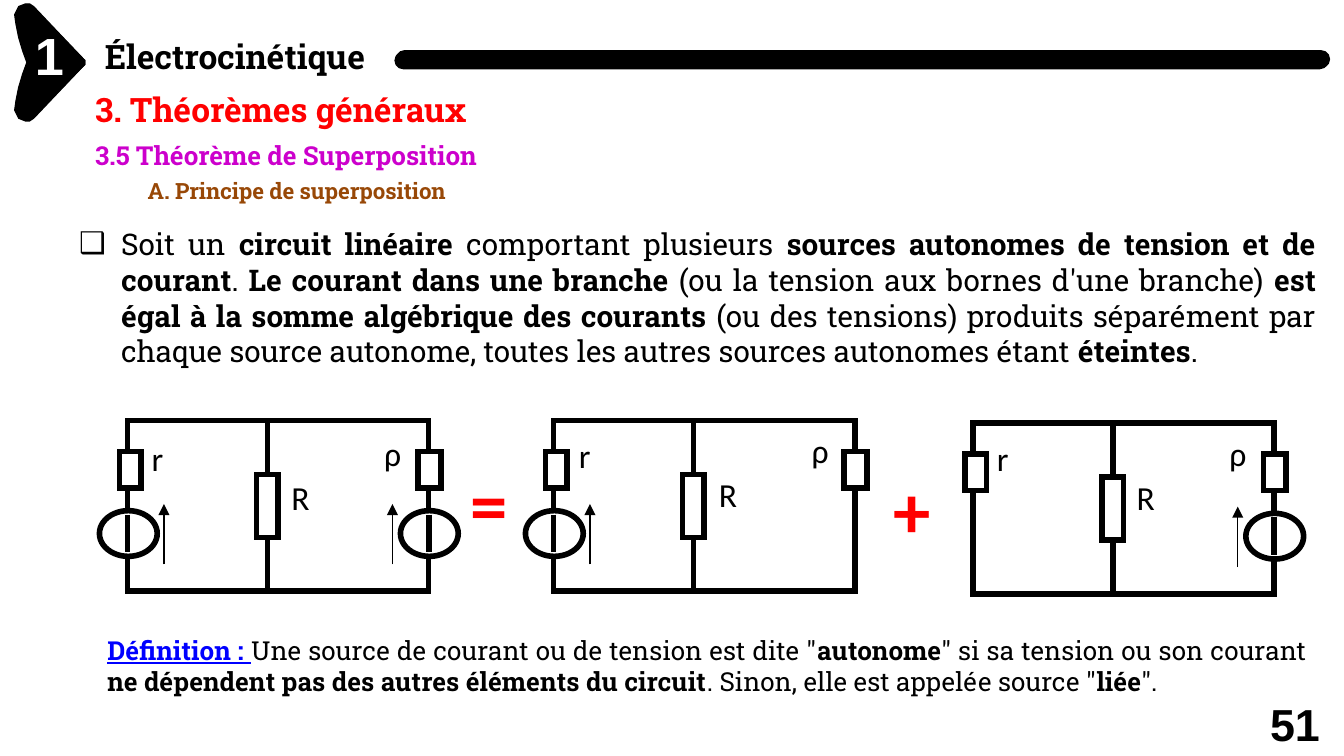
from lxml import etree
from pptx import Presentation
from pptx import util as u
from pptx.dml.color import RGBColor
from pptx.enum import shapes, text
from pptx.oxml.ns import qn

COLORS = {"ink": "000000", "paper": "FFFFFF", "red": "FF0000",
          "violet": "CC00CC", "brown": "984807", "blue": "0000FF"}
RGB = {name: RGBColor.from_string(value) for name, value in COLORS.items()}
SLAB = "Roboto Slab"

deck = Presentation()
deck.slide_width = u.Inches(10)
deck.slide_height = deck.slide_width * 9 // 16
page = deck.slides.add_slide(deck.slide_layouts[6])

# The page is a grid of 100 columns and 56.25 rows.
COLUMN = deck.slide_width / 100
ROW = deck.slide_height / 56.25


def paint(shape, fill, width):
    """Give a shape a flat fill (or none) and a black outline with sharp corners."""
    shape.shadow.inherit = False
    if fill:
        shape.fill.solid()
        shape.fill.fore_color.rgb = RGB[fill]
    else:
        shape.fill.background()
    shape.line.color.rgb = RGB["ink"]
    shape.line.width = u.Pt(width)
    corner = etree.SubElement(shape._element.spPr.find(qn("a:ln")), qn("a:miter"))
    corner.set("lim", "800000")


def write(parent, at, spans, font, size, color="ink", spacing=0, margins=(1, 0.5)):
    """Add a text box; spans are (text, font values) pairs. Return its paragraph."""
    left, top, width, height = at
    box = parent.add_textbox(int(left * COLUMN), int(top * ROW),
                             int(width * COLUMN), int(height * ROW))
    frame = box.text_frame
    frame.word_wrap = True
    frame.margin_left = frame.margin_right = int(margins[0] * COLUMN)
    frame.margin_top = frame.margin_bottom = int(margins[1] * ROW)
    para = frame.paragraphs[0]
    for words, values in spans:
        span = para.add_run()
        span.text = words
        look = {"name": font, "size": u.Pt(size), **values}
        tint = look.pop("color", color)
        for key, value in look.items():
            setattr(span.font, key, value)
        span.font.color.rgb = RGB[tint]
        if spacing:
            span._r.get_or_add_rPr().set("spc", str(spacing))
    return para


BOLD, PLAIN = {"bold": True}, {"bold": False}

# Chapter marker, in tenths of a cell: an arrowhead over its vertical mirror image
arrowhead = [(19, 3), (14, 5), (11, 11), (12, 18), (14, 28), (17, 38), (21, 49),
             (25, 60), (27, 70), (28, 79), (28, 83), (26, 86), (62, 49), (63, 48),
             (63, 45), (62, 44), (25, 5), (22, 3)]
mirrored = [(x, 93 - y) for x, y in arrowhead]
for outline in (mirrored, arrowhead):
    builder = page.shapes.build_freeform(*outline[0], scale=(COLUMN / 10, ROW / 10))
    builder.add_line_segments(outline[1:], close=True)
    paint(builder.convert_to_shape(), "ink", 0.75)

# Rounded rule beside the chapter name, doubled with a slight offset
for left, top, width in ((29.4, 3.9, 0.75), (29.5, 3.8, 1)):
    rule = page.shapes.add_shape(shapes.MSO_SHAPE.ROUNDED_RECTANGLE, int(left * COLUMN),
                                 int(top * ROW), int(69.4 * COLUMN), int(1.2 * ROW))
    rule.adjustments[0] = 0.5
    paint(rule, "ink", width)

# Headings
write(page.shapes, (2.5, 1.6, 2.4, 4.9), [("1", BOLD)], "Arial", 28, "paper",
      margins=(0.1, 0.1))
for words, at, size, color, margins in (
        ("Électrocinétique", (7.7, 2.6, 58.3, 3.3), 18, "ink", (0.1, 0.1)),
        ("3. Théorèmes généraux", (6.1, 6.1, 51.5, 4), 18, "red", (1, 0.5)),
        ("3.5 Théorème de Superposition", (6.1, 9.9, 50, 3.4), 14, "violet", (1, 0.5)),
        ("A. Principe de superposition", (10, 12.7, 50.2, 3), 12, "brown", (1, 0.5))):
    write(page.shapes, at, [(words, BOLD)], SLAB, size, color, -5, margins)

# Principle, as a justified bullet
principle = write(page.shapes, (4.9, 16.3, 94, 14.5), [
    ("Soit un ", PLAIN),
    ("circuit linéaire ", BOLD),
    ("comportant plusieurs ", PLAIN),
    ("sources autonomes de tension et de courant", BOLD),
    (". ", PLAIN),
    ("Le courant dans une branche ", BOLD),
    ("(ou la tension aux bornes d'une branche) ", PLAIN),
    ("est égal à la somme algébrique des courants ", BOLD),
    ("(ou des tensions) produits séparément par chaque source autonome, "
     "toutes les autres sources autonomes étant ", PLAIN),
    ("éteintes", BOLD),
    (".", PLAIN)], SLAB, 16)
bullet = principle._p.get_or_add_pPr()
bullet.set("marL", str(int(3.13 * COLUMN)))
bullet.set("indent", str(int(-3.13 * COLUMN)))
etree.SubElement(bullet, qn("a:buFont")).set("typeface", "Arial")
etree.SubElement(bullet, qn("a:buChar")).set("char", "❑")

definition = write(page.shapes, (7, 46.7, 91.2, 8.1), [
    ("Définition : ", {"bold": True, "underline": True, "color": "blue"}),
    ('Une source de courant ou de tension est dite "', PLAIN),
    ("autonome", BOLD),
    ('" si sa tension ou son courant ', PLAIN),
    ("ne dépendent pas des autres éléments du circuit", BOLD),
    ('. Sinon, elle est appelée source "', PLAIN),
    ("liée", BOLD),
    ('".', PLAIN)], SLAB, 14)
for para in (principle, definition):
    para.alignment = text.PP_ALIGN.JUSTIFY

for sign, left, top in (("=", 34, 33.6), ("+", 65.5, 34)):
    write(page.shapes, (left, top, 5.8, 7.7), [(sign, BOLD)], "Calibri", 40, "red")

# Circuits: origin, sources left on (x of each, side of its arrow), label nudge
LOOP_WIDTH, LOOP_HEIGHT, BRANCH = 22.4, 12.7, 10.4
LEFT_SOURCE, RIGHT_SOURCE = (0, 1), (LOOP_WIDTH, -1)
RECTANGLE, OVAL = shapes.MSO_SHAPE.RECTANGLE, shapes.MSO_SHAPE.OVAL
for left, top, sources, (nudge_x, nudge_y) in (
        (9.5, 31.3, (LEFT_SOURCE, RIGHT_SOURCE), (0, 0.2)),
        (41.2, 31.3, (LEFT_SOURCE,), (0.1, 0)),
        (72.4, 31.5, (RIGHT_SOURCE,), (0, 0))):
    circuit = page.shapes.add_group_shape().shapes
    parts = [(RECTANGLE, None, 0, 0, LOOP_WIDTH, LOOP_HEIGHT),
             ("wire", 3, BRANCH, 0.1, LOOP_HEIGHT),
             (RECTANGLE, "paper", -0.6, 2.3, 1.6, 2.7),
             (RECTANGLE, "paper", BRANCH - 0.8, 4, 1.6, 4.7),
             (RECTANGLE, "paper", LOOP_WIDTH - 0.8, 2.3, 1.7, 2.7)]
    for x, side in sources:
        parts += [(OVAL, "paper", x - 2.1, 6.7, 4.3, 3.4),
                  ("wire", 3, x, 7, 9.8),
                  ("arrow", 0.75, x + 2.7 * side, 10.7, 6.2)]

    for kind, look, x, y, *extent in parts:
        across, down = int((left + x) * COLUMN), int((top + y) * ROW)
        if kind in ("wire", "arrow"):
            wire = circuit.add_connector(shapes.MSO_CONNECTOR.STRAIGHT, across, down,
                                         across, int((top + extent[0]) * ROW))
            wire.line.color.rgb = RGB["ink"]
            wire.line.width = u.Pt(look)
            outline = wire._element.spPr
            if kind == "arrow":
                tip = etree.SubElement(outline.find(qn("a:ln")), qn("a:tailEnd"))
                tip.set("type", "triangle")
            etree.SubElement(outline, qn("a:effectLst"))
        else:
            width, height = extent
            paint(circuit.add_shape(kind, across, down, int(width * COLUMN),
                                    int(height * ROW)), look, 3)

    for label, x, y in (("r", 0.8, 0.6), ("R", 11.2, 3.5), ("ρ", 18.1, 0.2)):
        write(circuit, (left + x + nudge_x, top + y + nudge_y, 4.6, 5),
              [(label, PLAIN)], "Calibri", 18)

number = write(page.shapes, (94.1, 52.5, 6.2, 3.4), [("51", BOLD)], "Arial", 24,
               margins=(0.4, 0))
number.line_spacing = u.Pt(24.3)

deck.save("out.pptx")
